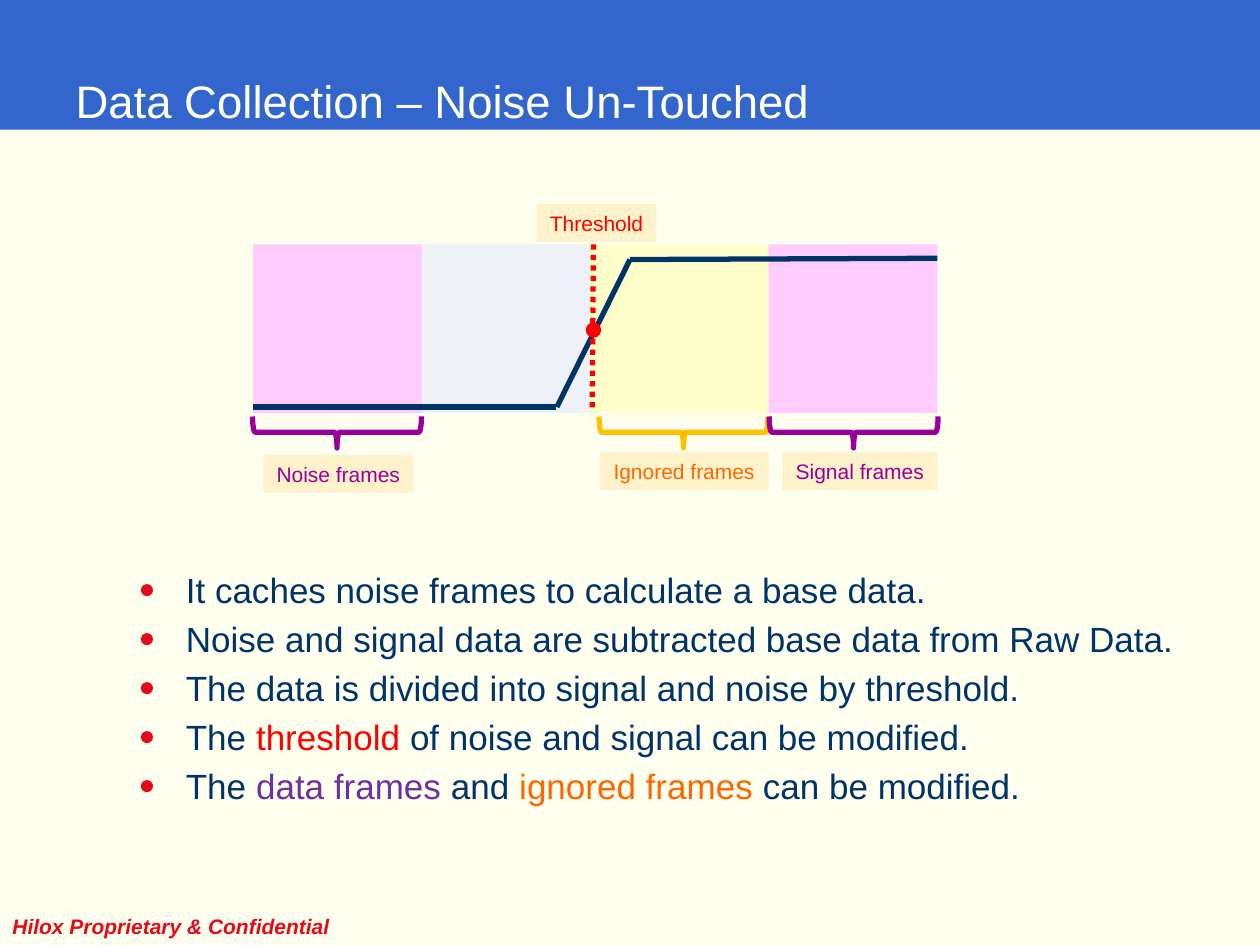
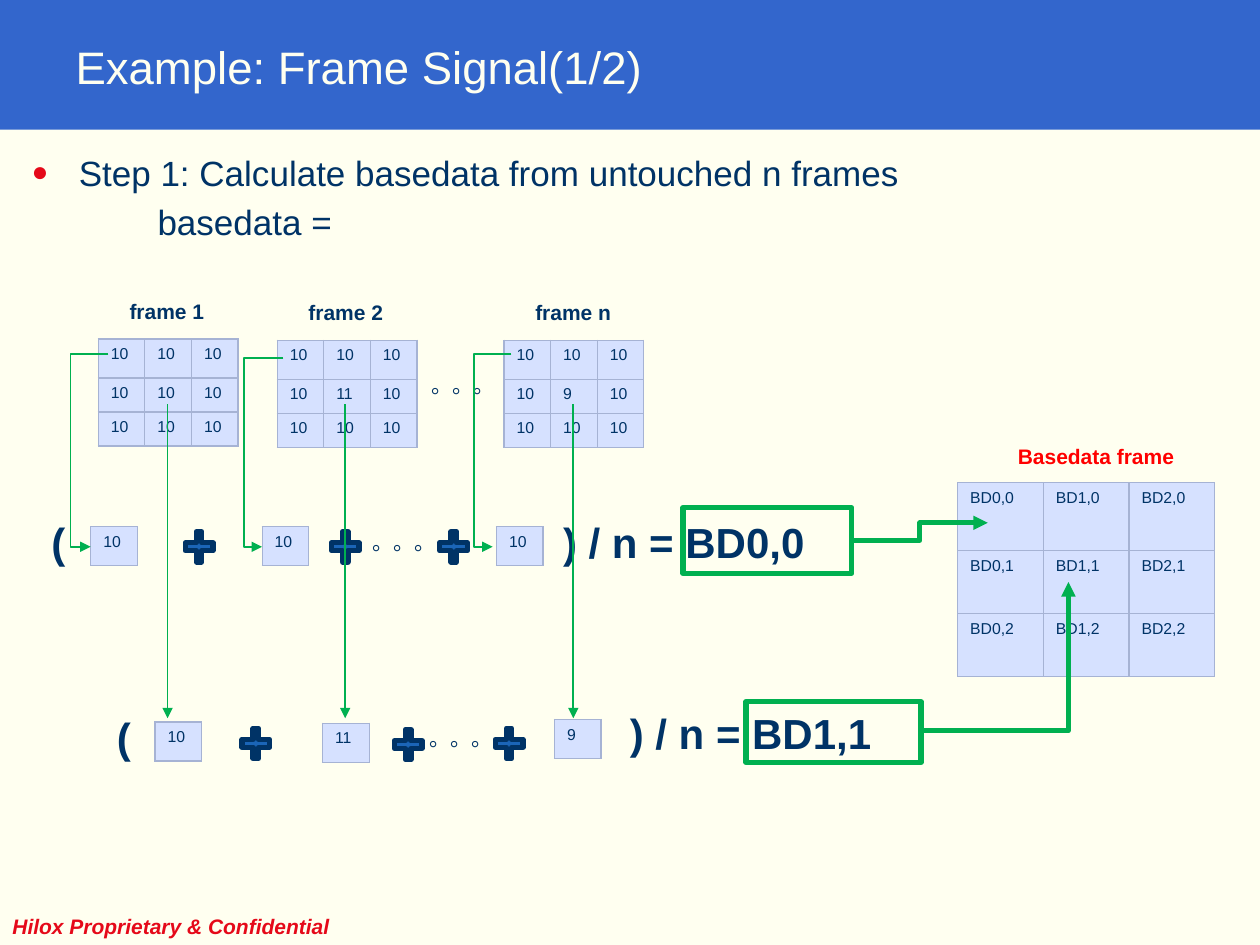
import lxml.etree
import pptx
import pptx.dml.color
import pptx.enum.dml
import pptx.enum.shapes
import pptx.enum.text
import pptx.oxml.ns
import pptx.util

Inches = pptx.util.Inches
Pt = pptx.util.Pt
qn = pptx.oxml.ns.qn
SubElement = lxml.etree.SubElement
KIND = pptx.enum.shapes.MSO_SHAPE
CONNECTOR = pptx.enum.shapes.MSO_CONNECTOR
ALIGN = pptx.enum.text.PP_ALIGN
ANCHOR = pptx.enum.text.MSO_ANCHOR

COLORS = {
    "paper": "FFFFF0", "band": "3366CC", "navy": "003366", "crimson": "E50919",
    "red": "FF0000", "violet": "7030A0", "orange": "FF6600", "purple": "990099",
    "gold": "FFC000", "green": "00B050", "blue": "1B65B7", "label": "FDF2C9",
    "pink": "FFCCFF", "gray": "EEF1F7", "yellow": "FFFFCC",
    "cell": "D6E1FF", "grid": "A6B3D4",
}
RGB = {name: pptx.dml.color.RGBColor.from_string(value) for name, value in COLORS.items()}


def write(paragraph, text, color="navy", **formats):
    run = paragraph.add_run()
    run.text = text
    run.font.color.rgb = RGB[color]
    for name, value in ({"name": "Arial", "size": Pt(12)} | formats).items():
        setattr(run.font, name, value)


def add_figure(slide, kind, box, fill=None, line=None, adjustments=()):
    shape = slide.shapes.add_shape(kind, *map(Inches, box))
    shape.shadow.inherit = False
    if fill:
        shape.fill.solid()
        shape.fill.fore_color.rgb = RGB[fill]
    else:
        shape.fill.background()
    if line:
        shape.line.color.rgb = RGB[line]
        shape.line.width = Pt(3)
    else:
        shape.line.fill.background()
    for index, value in enumerate(adjustments):
        shape.adjustments[index] = value
    return shape


presentation = pptx.Presentation()
presentation.slide_width = Inches(10)
presentation.slide_height = Inches(7.5)
master = presentation.slide_master
master.background.fill.solid()
master.background.fill.fore_color.rgb = RGB["paper"]

slide_contents = [
    ("Data Collection – Noise Un-Touched", (0.5, 0.17, 9, 1.25), (1, 4.46, 8.5, 2.25), [
        [("It caches noise frames to calculate a base data.", "navy")],
        [("Noise and signal data are subtracted base data from Raw Data.", "navy")],
        [("The data is divided into signal and noise by threshold.", "navy")],
        [("The ", "navy"), ("threshold", "red"),
         (" of noise and signal can be modified.", "navy")],
        [("The ", "navy"), ("data frames ", "violet"), ("and ", "navy"),
         ("ignored frames ", "orange"), ("can be modified.", "navy")],
    ]),
    ("Example: Frame Signal(1/2)", (0.5, 0.17, 9, 0.72), (0.15, 1.15, 8.5, 4.95), [
        [("Step 1: Calculate basedata from untouched n frames", "navy")],
        [("basedata =", "navy")],
    ]),
]
for title_text, title_box, body_box, items in slide_contents:
    slide = presentation.slides.add_slide(presentation.slide_layouts[1])
    title, body = slide.placeholders
    for placeholder, box in ((title, title_box), (body, body_box)):
        for name, value in zip(("left", "top", "width", "height"), box):
            setattr(placeholder, name, Inches(value))
        placeholder.text_frame.auto_size = pptx.enum.text.MSO_AUTO_SIZE.NONE
    title.text_frame.vertical_anchor = ANCHOR.MIDDLE
    title.text_frame.paragraphs[0].alignment = ALIGN.LEFT
    write(title.text_frame.paragraphs[0], title_text, "paper", size=Pt(26))
    for index, runs in enumerate(items):
        paragraph = body.text_frame.add_paragraph() if index else body.text_frame.paragraphs[0]
        properties = paragraph._p.get_or_add_pPr()
        if runs[0][0] == "basedata =":
            properties.set("marL", str(Inches(1)))
            properties.set("indent", "0")
            SubElement(properties, qn("a:buNone"))
        else:
            bullet_color = SubElement(properties, qn("a:buClr"))
            SubElement(bullet_color, qn("a:srgbClr"), val=COLORS["crimson"])
            SubElement(properties, qn("a:buSzPct"), val="80000")
            SubElement(properties, qn("a:buChar"), char="●")
        for text, color in runs:
            write(paragraph, text, color, size=Pt(20))

threshold_slide, example_slide = presentation.slides

band = add_figure(threshold_slide, KIND.RECTANGLE, (0, 0, 10, 1.03), "band")
footer = threshold_slide.shapes.add_textbox(0, Inches(7.2), Inches(2.81), Inches(0.3))
footer.text_frame.word_wrap = False
write(footer.text_frame.paragraphs[0], "Hilox Proprietary & Confidential", "crimson",
      bold=True, italic=True)
for position, shape in enumerate((band, footer), start=2):
    master.shapes._spTree.insert(position, shape._element)

zones = [(2.01, 1.34, "pink"), (3.35, 1.34, "gray"), (4.68, 1.42, "yellow"), (6.1, 1.34, "pink")]
for left, width, color in zones:
    add_figure(threshold_slide, KIND.RECTANGLE, (left, 1.94, width, 1.34), color)

for left, color in ((2.55, "purple"), (5.3, "gold"), (6.65, "purple")):
    brace = add_figure(threshold_slide, KIND.LEFT_BRACE, (left, 2.76, 0.25, 1.34),
                       line=color, adjustments=(0.083, 0.5))
    brace.rotation = 270

labels = [
    ("Threshold", 4.26, 1.62, 0.95, "red"),
    ("Noise frames", 2.09, 3.61, 1.19, "purple"),
    ("Ignored frames", 4.76, 3.59, 1.34, "orange"),
    ("Signal frames", 6.21, 3.59, 1.23, "purple"),
]
for text, left, top, width, color in labels:
    label = add_figure(threshold_slide, KIND.RECTANGLE, (left, top, width, 0.3), "label")
    label.text_frame.word_wrap = False
    label.text_frame.paragraphs[0].alignment = ALIGN.CENTER
    write(label.text_frame.paragraphs[0], text, color)

tables = [
    (left, top, 0.37, (0.31, 0.27, 0.27),
     [["10"] * 3, ["10", center, "10"], ["10"] * 3])
    for left, top, center in ((0.78, 2.69, "10"), (2.2, 2.7, "11"), (4, 2.7, "9"))
]
tables += [
    (left, top, 0.37, (0.31,), [[value]])
    for left, top, value in (
        (0.72, 4.18, "10"), (2.08, 4.18, "10"), (3.94, 4.18, "10"),
        (1.23, 5.73, "10"), (2.56, 5.74, "11"), (4.4, 5.71, "9"))
]
tables.append((7.6, 3.83, 0.68, (0.54, 0.5, 0.5),
               [[f"BD{column},{row}" for column in range(3)] for row in range(3)]))
for left, top, column_width, heights, values in tables:
    frame = example_slide.shapes.add_table(
        len(values), len(values[0]), Inches(left), Inches(top),
        Inches(column_width * len(values[0])), Inches(sum(heights)))
    table = frame.table
    table.first_row = table.horz_banding = False
    for row, height in zip(table.rows, heights):
        row.height = Inches(height)
    for column in table.columns:
        column.width = Inches(column_width)
    for row, row_values in zip(table.rows, values):
        for cell, value in zip(row.cells, row_values):
            properties = cell._tc.get_or_add_tcPr()
            for side in ("a:lnL", "a:lnR", "a:lnT", "a:lnB"):
                border = SubElement(properties, qn(side), w=str(Pt(0.75)))
                border_fill = SubElement(border, qn("a:solidFill"))
                SubElement(border_fill, qn("a:srgbClr"), val=COLORS["grid"])
            cell.fill.solid()
            cell.fill.fore_color.rgb = RGB["cell"]
            write(cell.text_frame.paragraphs[0], value, size=Pt(9))

caption = {"size": Pt(12), "bold": True}
dots = {"size": Pt(12)}
formula = {"size": Pt(24), "bold": True}
texts = [
    ("frame 1", (0.93, 2.32, 0.8, 0.3), "navy", caption),
    ("frame 2", (2.35, 2.33, 0.8, 0.3), "navy", caption),
    ("frame n", (4.15, 2.33, 0.81, 0.3), "navy", caption),
    ("Basedata frame", (7.98, 3.47, 1.45, 0.3), "red", caption),
    ("。。。", (3.33, 2.91, 0.71, 0.3), "navy", dots),
    ("。。。", (2.86, 4.15, 0.71, 0.3), "navy", dots),
    ("。。。", (3.31, 5.71, 0.71, 0.3), "navy", dots),
    ("(", (0.31, 4.05, 0.44, 0.5), "navy", formula),
    (") / n = BD0,0", (4.37, 4.05, 2.45, 0.5), "navy", formula),
    ("(", (0.83, 5.6, 0.44, 0.5), "navy", formula),
    (") / n = BD1,1", (4.9, 5.57, 2.52, 0.5), "navy", formula),
]
for text, box, color, formats in texts:
    text_box = example_slide.shapes.add_textbox(*map(Inches, box))
    text_box.text_frame.word_wrap = False
    write(text_box.text_frame.paragraphs[0], text, color, **formats)

plus_places = [(1.47, 4.22), (2.63, 4.22), (3.49, 4.22), (1.92, 5.78), (3.13, 5.79), (3.93, 5.78)]
for left, top in plus_places:
    add_figure(example_slide, KIND.CROSS, (left, top, 0.22, 0.24), "blue", "navy", (0.404,))

for result_box in ((5.42, 4.03, 1.34, 0.52), (5.92, 5.57, 1.39, 0.48)):
    add_figure(example_slide, KIND.RECTANGLE, result_box, line="green")

signal = {"color": "navy", "width": 3}
thin_arrow = {"color": "green", "width": 1, "arrow": True}
thick_arrow = {"color": "green", "width": 2.75, "arrow": True}
connectors = [
    (threshold_slide, (2.01, 3.23), (4.41, 3.23), signal),
    (threshold_slide, (4.42, 3.23), (5, 2.06), signal),
    (threshold_slide, (5, 2.06), (7.44, 2.05), signal),
    (threshold_slide, (4.71, 1.94), (4.7, 3.24), {"color": "red", "width": 3, "dotted": True}),
    (example_slide, (6.76, 4.29), (7.84, 4.15), thick_arrow | {"bend": 7.3}),
    (example_slide, (7.31, 5.8), (8.48, 4.62), thick_arrow | {"corner": True}),
]
for start, end, bend in (
        ((0.86, 2.81), (0.72, 4.34), 0.56),
        ((2.25, 2.84), (2.08, 4.34), 1.94),
        ((4.06, 2.81), (3.91, 4.34), 3.76)):
    connectors.append((example_slide, start, end, thin_arrow | {"bend": bend}))
for left in (1.33, 2.74, 4.55):
    connectors.append((example_slide, (left, 3.21), (left, 5.7), thin_arrow))

for slide, start, end, style in connectors:
    elbow = "bend" in style or "corner" in style
    connector = slide.shapes.add_connector(
        CONNECTOR.ELBOW if elbow else CONNECTOR.STRAIGHT, *map(Inches, start + end))
    connector.line.color.rgb = RGB[style["color"]]
    connector.line.width = Pt(style["width"])
    if "dotted" in style:
        connector.line.dash_style = pptx.enum.dml.MSO_LINE.ROUND_DOT
    properties = connector._element.spPr
    geometry = properties.find(qn("a:prstGeom"))
    if "corner" in style:
        geometry.set("prst", "bentConnector2")
    if "bend" in style:
        share = (style["bend"] - start[0]) / (end[0] - start[0])
        SubElement(geometry.find(qn("a:avLst")), qn("a:gd"),
                   name="adj1", fmla=f"val {round(share * 100000)}")
    if "arrow" in style:
        SubElement(properties.find(qn("a:ln")), qn("a:tailEnd"), type="triangle")
    SubElement(properties, qn("a:effectLst"))

add_figure(threshold_slide, KIND.OVAL, (4.67, 2.58, 0.08, 0.08), "red", "red")

presentation.save("out.pptx")
